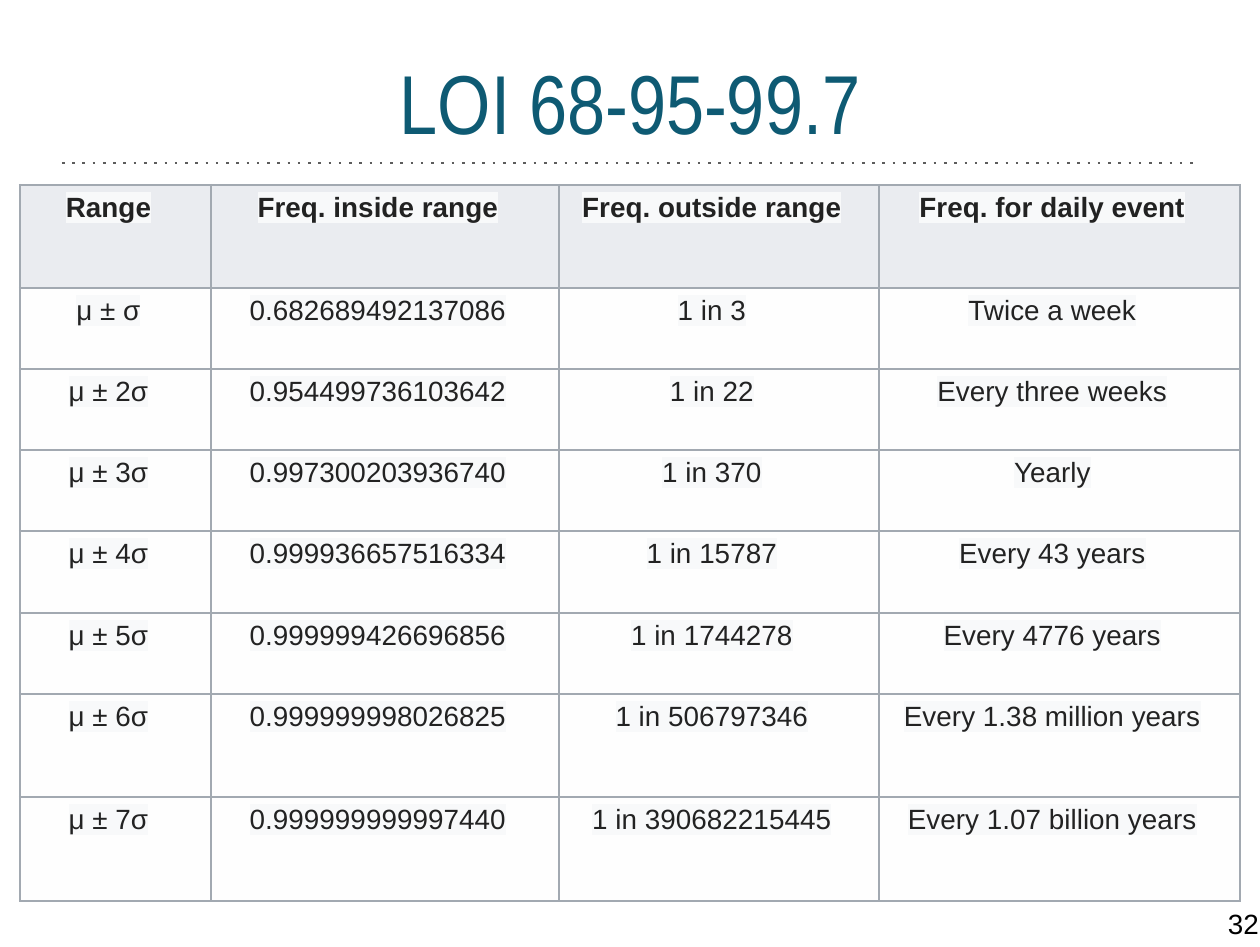
from lxml import etree
from pptx import Presentation, util as u
from pptx.dml.color import RGBColor
from pptx.enum import shapes, text
from pptx.oxml.ns import qn

PX = 914400 / 250.5  # EMU per px
HUES = {"title": "0E5A73", "rule": "5C5C5C", "edge": "A2A9B1", "head": "EAECF0",
        "body": "F8F9FA", "mark": "F8F9FA", "ink": "222222", "page": "000000"}
COLS = [191, 348, 320, 361]
ROWS = [103, 81, 81, 81, 82, 81, 103, 104]
HEAD = ["Range", "Freq. inside range", "Freq. outside range", "Freq. for daily event"]
DATA = [
    ["μ ± σ", "0.682689492137086", "1 in 3", "Twice a week"],
    ["μ ± 2σ", "0.954499736103642", "1 in 22", "Every three weeks"],
    ["μ ± 3σ", "0.997300203936740", "1 in 370", "Yearly"],
    ["μ ± 4σ", "0.999936657516334", "1 in 15787", "Every 43 years"],
    ["μ ± 5σ", "0.999999426696856", "1 in 1744278", "Every 4776 years"],
    ["μ ± 6σ", "0.999999998026825", "1 in 506797346", "Every 1.38 million years"],
    ["μ ± 7σ", "0.999999999997440", "1 in 390682215445", "Every 1.07 billion years"],
]


def px(*nums):
    return [u.Emu(round(n * PX)) for n in nums]


def hue(name):
    return RGBColor.from_string(HUES[name])


def sub(node, tag, **attrs):
    return etree.SubElement(node, qn(tag), **attrs)


def write(frame, words, size=8, font="Arial", ink="ink", bold=False,
          align="CENTER", mark=None, lines=None):
    para = frame.paragraphs[0]
    para.alignment = getattr(text.PP_ALIGN, align)
    if lines:
        para.line_spacing = lines
    run = para.add_run()
    run.text = words
    run.font.size = u.Pt(size)
    run.font.bold = bold
    run.font.color.rgb = hue(ink)
    if mark:
        sub(sub(run.font._element, "a:highlight"), "a:srgbClr", val=HUES[mark])
    run.font.name = font


def label(slide, box, words, pad=0, wrap=True, **form):
    frame = slide.shapes.add_textbox(*px(*box)).text_frame
    frame.word_wrap = wrap
    frame.vertical_anchor = text.MSO_ANCHOR.MIDDLE if pad else text.MSO_ANCHOR.TOP
    frame.margin_left, frame.margin_top = px(pad, pad)
    frame.margin_right, frame.margin_bottom = px(pad, pad)
    write(frame, words, **form)


def rule(slide, left, right, y):
    line = slide.shapes.add_connector(shapes.MSO_CONNECTOR.STRAIGHT, *px(left, y, right, y))
    line.line.color.rgb = hue("rule")
    line.line.width = u.Pt(0.75)
    props = line._element.spPr
    sub(props.find(qn("a:ln")), "a:prstDash", val="dot")
    sub(props, "a:effectLst")


def style(cell, fill, alpha=None):
    """Set the insets, borders and fill of a table cell."""
    cell.margin_left, cell.margin_top, cell.margin_right, cell.margin_bottom = px(0, 7, 14, 7)
    props = cell._tc.get_or_add_tcPr()
    for side in "LRTB":
        edge = sub(props, f"a:ln{side}", w=str(u.Pt(0.75)))
        sub(sub(edge, "a:solidFill"), "a:srgbClr", val=HUES["edge"])
    cell.fill.solid()
    cell.fill.fore_color.rgb = hue(fill)
    if alpha is not None:
        tint = props.find(qn("a:solidFill")).find(qn("a:srgbClr"))
        sub(tint, "a:alpha", val=str(alpha * 1000))


def grid(slide, left, top):
    cells = [HEAD] + DATA
    area = px(left, top, sum(COLS), sum(ROWS))
    table = slide.shapes.add_table(len(ROWS), len(COLS), *area).table
    table.horz_banding = False
    for col, wide in zip(table.columns, px(*COLS)):
        col.width = wide
    for i, (row, high) in enumerate(zip(table.rows, px(*ROWS))):
        row.height = high
        for cell, words in zip(row.cells, cells[i]):
            style(cell, "body" if i else "head", 10 if i else None)
            write(cell.text_frame, words, bold=i == 0, mark="mark")


def main():
    deck = Presentation()
    deck.slide_width, deck.slide_height = u.Inches(5.03), u.Inches(3.78)
    slide = deck.slides.add_slide(deck.slide_layouts[6])
    rule(slide, 62, 1197, 163)
    label(slide, (1228, 902, 32, 35), "32", wrap=False, ink="page",
          align="LEFT", lines=1.15)
    grid(slide, 20, 185)
    label(slide, (68, 1, 1124, 200), "LOI 68-95-99.7", pad=25, size=24,
          font="Arial Narrow", ink="title")
    deck.save("out.pptx")


if __name__ == "__main__":
    main()
